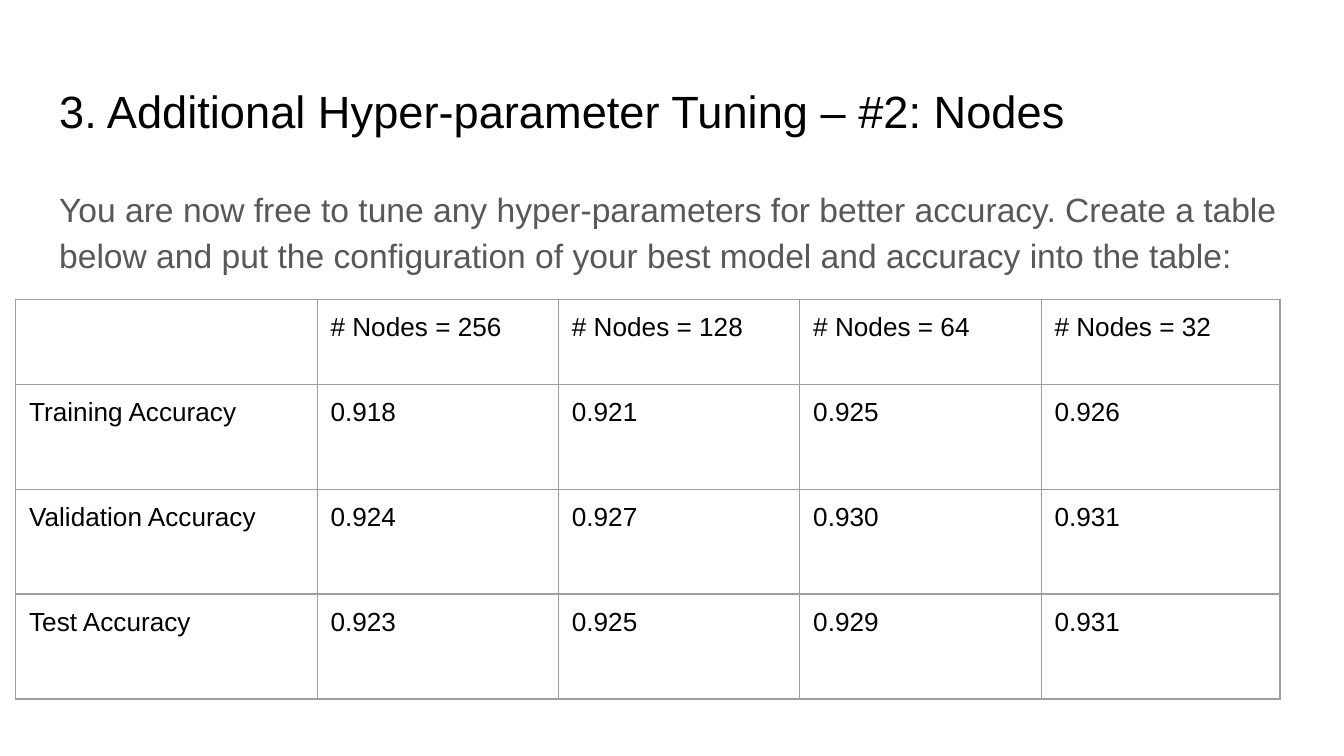
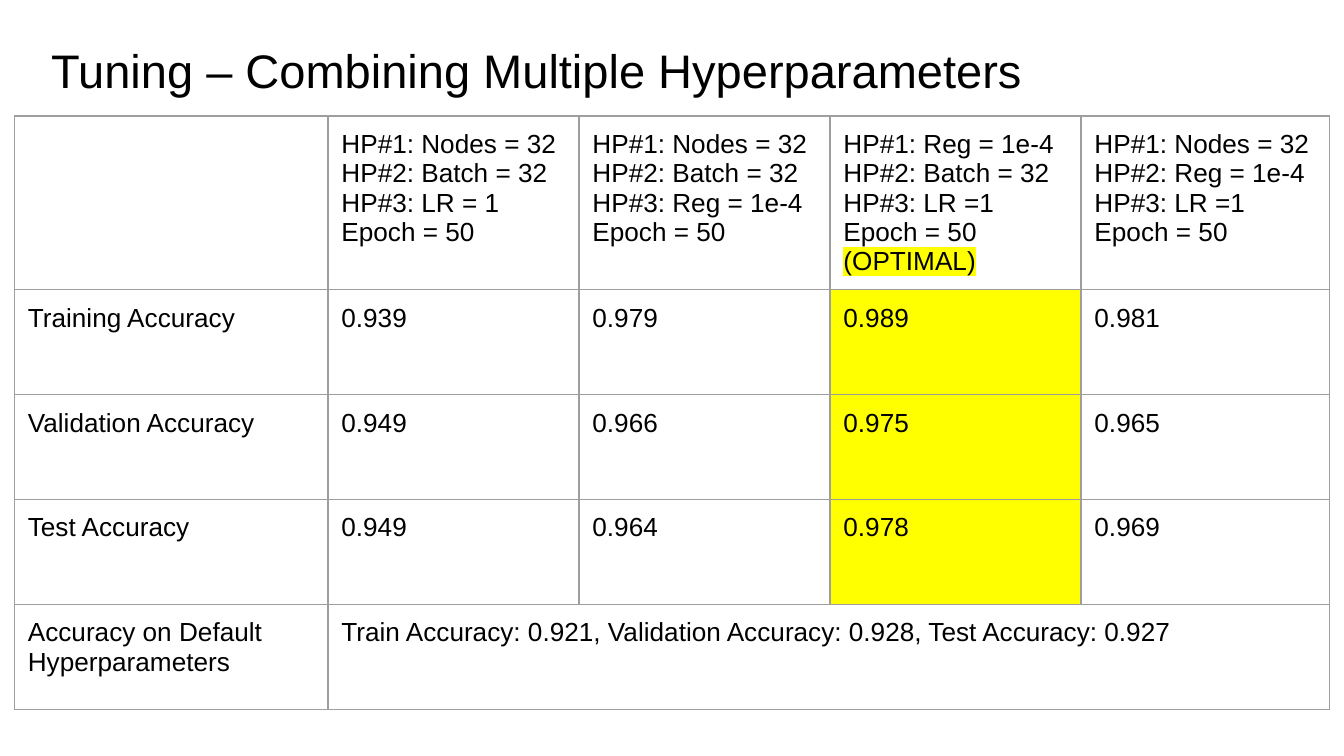
import pptx
import pptx.dml.color
import pptx.enum.text
import pptx.oxml
import pptx.oxml.ns
import pptx.util

Pt = pptx.util.Pt
qn = pptx.oxml.ns.qn
RGBColor = pptx.dml.color.RGBColor
Anchor = pptx.enum.text.MSO_ANCHOR

# Content
COLORS = {"title": "000000", "body": "585858", "border": "9E9E9E", "best": "FFFF00"}
FONT = "Arial"
INSET = 7.2
BORDER = 0.75
HEADER_ROW = 0

NODES = {
    "title": "3. Additional Hyper-parameter Tuning – #2: Nodes",
    "title_size": 24.2,
    "title_place": (24.5, 35.3, 671, 45.4),
    "body": "You are now free to tune any hyper-parameters for better accuracy. "
            "Create a table below and put the configuration of your best model "
            "and accuracy into the table:",
    "body_place": (24.5, 90.7, 671, 269.3),
    "table_corner": (8.4, 160.3),
    "columns": [161.5, 129.3, 129.3, 129.3, 128],
    "header_height": 45.5,
    "rows": [
        ["", "# Nodes = 256", "# Nodes = 128", "# Nodes = 64", "# Nodes = 32"],
        ["Training Accuracy", "0.918", "0.921", "0.925", "0.926"],
        ["Validation Accuracy", "0.924", "0.927", "0.930", "0.931"],
        ["Test Accuracy", "0.923", "0.925", "0.929", "0.931"],
    ],
}
COMBINED = {
    "title": "Tuning – Combining Multiple Hyperparameters",
    "title_size": 25.2,
    "title_place": (20.2, 14.4, 661, 45.4),
    "table_corner": (7.7, 62.2),
    "columns": [168, 134.5, 134.5, 134.5, 133.2],
    "header_height": 92.7,
    "best_column": 3,
    "rows": [
        ["",
         "HP#1: Nodes = 32\nHP#2: Batch = 32\nHP#3: LR = 1\nEpoch = 50",
         "HP#1: Nodes = 32\nHP#2: Batch = 32\nHP#3: Reg = 1e-4\nEpoch = 50",
         "HP#1: Reg = 1e-4\nHP#2: Batch = 32\nHP#3: LR =1\nEpoch = 50\n(OPTIMAL)",
         "HP#1: Nodes = 32\nHP#2: Reg = 1e-4\nHP#3: LR =1\nEpoch = 50"],
        ["Training Accuracy", "0.939", "0.979", "0.989", "0.981"],
        ["Validation Accuracy", "0.949", "0.966", "0.975", "0.965"],
        ["Test Accuracy", "0.949", "0.964", "0.978", "0.969"],
        ["Accuracy on Default Hyperparameters",
         "Train Accuracy: 0.921, Validation Accuracy: 0.928, Test Accuracy: 0.927"],
    ],
}
ROW_HEIGHT = 56.25


def write(frame, text, size=14, color="title", spacing=1.0, highlighted=""):
    """Fill a text frame, one paragraph a line, highlighting one given line."""
    for index, line in enumerate(text.split("\n")):
        para = frame.paragraphs[0] if index == 0 else frame.add_paragraph()
        para.alignment = pptx.enum.text.PP_ALIGN.LEFT
        para.line_spacing = spacing
        para.space_before = Pt(0)
        span = para.add_run()
        span.text = line
        span.font.name = FONT
        span.font.size = Pt(size)
        span.font.color.rgb = RGBColor.from_string(COLORS[color])
        if line == highlighted:
            mark = pptx.oxml.parse_xml(
                f'<a:highlight {pptx.oxml.ns.nsdecls("a")}>'
                f'<a:srgbClr val="{COLORS["best"]}"/></a:highlight>')
            span.font._element.find(qn("a:solidFill")).addnext(mark)


def fill_placeholder(box, place, text, anchor, **style):
    box.left, box.top, box.width, box.height = map(Pt, place)
    frame = box.text_frame
    frame.word_wrap = True
    frame.auto_size = pptx.enum.text.MSO_AUTO_SIZE.NONE
    frame.vertical_anchor = anchor
    frame.margin_left = frame.margin_right = Pt(INSET)
    frame.margin_top = frame.margin_bottom = Pt(INSET)
    write(frame, text, **style)


def remove_bullets(frame):
    for para in frame.paragraphs:
        properties = para._p.get_or_add_pPr()
        properties.set("marL", "0")
        properties.set("indent", "0")
        properties.append(pptx.oxml.parse_xml(
            f'<a:buNone {pptx.oxml.ns.nsdecls("a")}/>'))


def format_cell(cell, best):
    cell.margin_left = cell.margin_right = Pt(INSET)
    cell.margin_top = cell.margin_bottom = Pt(INSET)
    cell.vertical_anchor = Anchor.TOP
    if best:
        cell.fill.solid()
        cell.fill.fore_color.rgb = RGBColor.from_string(COLORS["best"])
    else:
        cell.fill.background()
    # Borders come before the fill
    for index, side in enumerate("LRTB"):
        cell._tc.get_or_add_tcPr().insert(index, pptx.oxml.parse_xml(
            f'<a:ln{side} {pptx.oxml.ns.nsdecls("a")} w="{Pt(BORDER)}"><a:solidFill>'
            f'<a:srgbClr val="{COLORS["border"]}"/></a:solidFill></a:ln{side}>'))


def add_accuracy_table(page, content):
    rows, columns = content["rows"], content["columns"]
    heights = [content["header_height"]] + [ROW_HEIGHT] * (len(rows) - 1)
    left, top = content["table_corner"]
    table = page.shapes.add_table(
        len(rows), len(columns), Pt(left), Pt(top),
        Pt(sum(columns)), Pt(sum(heights))).table
    table.first_row = table.horz_banding = False
    for column, width in zip(table.columns, columns):
        column.width = Pt(width)
    for row, height in zip(table.rows, heights):
        row.height = Pt(height)
    for r, texts in enumerate(rows):
        # A short row stretches its last cell to the right edge
        short = len(texts) < len(columns)
        for c in range(len(columns)):
            best = c == content.get("best_column") and r != HEADER_ROW and not short
            format_cell(table.cell(r, c), best)
        if short:
            table.cell(r, len(texts) - 1).merge(table.cell(r, len(columns) - 1))
        for c, text in enumerate(texts):
            if text:
                write(table.cell(r, c).text_frame, text, highlighted="(OPTIMAL)")


def add_page(deck, content):
    layout = deck.slide_layouts[1 if "body" in content else 5]
    page = deck.slides.add_slide(layout)
    fill_placeholder(page.shapes.title, content["title_place"], content["title"],
                     Anchor.BOTTOM, size=content["title_size"])
    if "body" in content:
        body = page.placeholders[1]
        fill_placeholder(body, content["body_place"], content["body"],
                         Anchor.TOP, size=18, color="body", spacing=1.15)
        remove_bullets(body.text_frame)
    add_accuracy_table(page, content)


def main():
    deck = pptx.Presentation()
    deck.slide_width, deck.slide_height = Pt(720), Pt(405)
    for content in (NODES, COMBINED):
        add_page(deck, content)
    deck.save("out.pptx")


if __name__ == "__main__":
    main()
